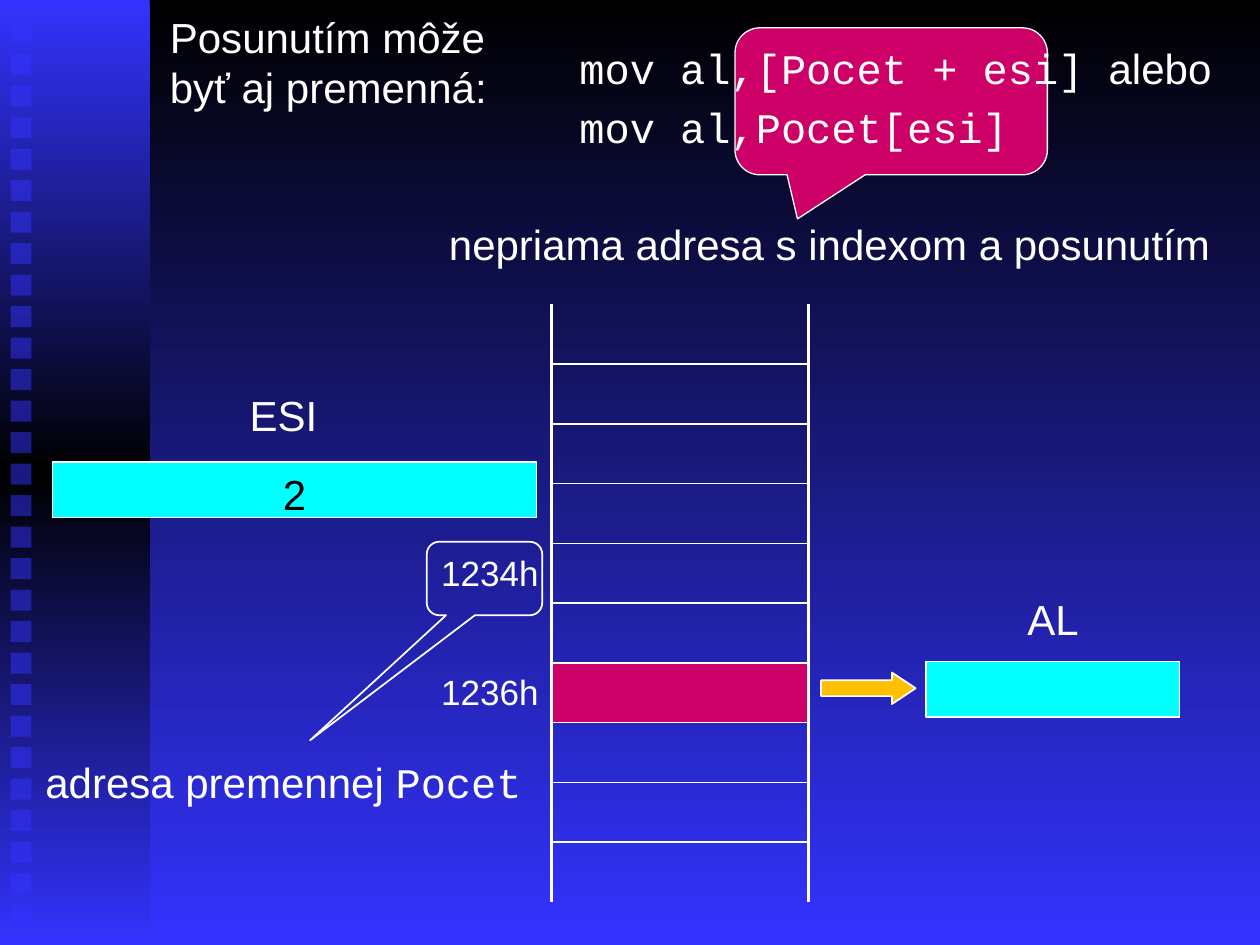
from copy import deepcopy

from lxml.etree import SubElement
from pptx import Presentation
from pptx.dml.color import RGBColor
from pptx.enum.shapes import MSO_SHAPE as Form
from pptx.enum.text import MSO_ANCHOR as Anchor, PP_ALIGN as Align
from pptx.oxml.ns import qn
from pptx.util import Inches, Pt

WHITE, BLACK, BLUE = "FFFFFF", "000000", "3333FF"
PINK, CYAN, GOLD = "CC0066", "00FFFF", "FFC000"
SANS, MONO = "Arial", "Courier New"


def hue(code):
    return RGBColor.from_string(code)


def write(frame, lines, size=24, tint=WHITE, align=Align.CENTER):
    """Fill a text frame; each line is a list of (text, font) runs."""
    for i, line in enumerate(lines):
        para = frame.add_paragraph() if i else frame.paragraphs[0]
        para.alignment = align
        if i:
            para.space_before = Pt(size * 0.2)
        for text, font in line:
            run = para.add_run()
            run.text = text
            look = {"name": font, "size": Pt(size)}
            for key, value in look.items():
                setattr(run.font, key, value)
            run.font.color.rgb = hue(tint)


prs = Presentation()
prs.slide_width, prs.slide_height = Inches(10), Inches(7.5)
slide = prs.slides.add_slide(prs.slide_layouts[6])
shapes = slide.shapes

# Grid of 120 columns by 90 rows
COL = prs.slide_width / 120
ROW = prs.slide_height / 90

# Background and side band, both shaded from top to bottom
band = shapes.add_shape(Form.RECTANGLE, 0, 0, int(14.25 * COL), int(90 * ROW))
band.shadow.inherit = False
band.line.fill.background()
shades = [
    (slide.background.fill, slide._element.cSld.find(qn("p:bg")), [BLACK, BLUE]),
    (band.fill, band._element, [BLUE, BLACK, BLUE]),
]
for fill, node, tints in shades:
    fill.gradient()
    fill.gradient_angle = 270
    if node is None:
        node = slide._element
    stops = next(node.iter(qn("a:gsLst")))
    while len(stops) < len(tints):
        stops.append(deepcopy(stops[0]))
    for i, (stop, tint) in enumerate(zip(fill.gradient_stops, tints)):
        stop.color.rgb = hue(tint)
        stop.position = i / (len(tints) - 1)

# Column of half-transparent squares on the band
for i in range(29):
    dot = shapes.add_shape(Form.RECTANGLE, int(COL), int((2.15 + 3 * i) * ROW),
                           int(2 * COL), int(2 * ROW))
    dot.shadow.inherit = False
    dot.line.fill.background()
    dot.fill.solid()
    dot.fill.fore_color.rgb = hue(BLUE)
    tone = next(dot._element.spPr.iter(qn("a:srgbClr")))
    SubElement(tone, qn("a:alpha"), val="50000")

# Memory: addresses on the left, cells on the right
COUNT, STEP = 10, 5.69
marks = {4: "1234h", 6: "1236h"}
table = shapes.add_table(COUNT, 2, int(24 * COL), int(29 * ROW),
                         int(53 * COL), int(COUNT * STEP * ROW)).table
table.first_row = table.horz_banding = False
table._tbl.tblPr.find(qn("a:tableStyleId")).text = "{2D5ABB26-0587-4C30-8999-92F81FD0307C}"
for part, width in zip(table.columns, (28.5, 24.5)):
    part.width = int(width * COL)
for r in range(COUNT):
    table.rows[r].height = int(STEP * ROW)
    name, slot = table.cell(r, 0), table.cell(r, 1)
    name.margin_top = Inches(0.09)
    if r in marks:
        write(name.text_frame, [[(marks[r], SANS)]], 20, align=Align.RIGHT)
    edges = {"L": 2.25, "R": 2.25, "T": 1 if r else 0, "B": 1 if r < COUNT - 1 else 0}
    for side, width in edges.items():
        if width:
            edge = SubElement(slot._tc.get_or_add_tcPr(), qn(f"a:ln{side}"), w=str(Pt(width)))
            SubElement(SubElement(edge, qn("a:solidFill")), qn("a:srgbClr"), val=WHITE)
    name.fill.background()
    if r == 6:
        slot.fill.solid()
        slot.fill.fore_color.rgb = hue(PINK)
    else:
        slot.fill.background()

# Callouts, registers and arrow: form, place, fill, line width, adjustments, text
BUBBLE = Form.ROUNDED_RECTANGULAR_CALLOUT
figures = [
    (BUBBLE, (70, 2.65, 29.75, 14), PINK, 0.75, (-0.3, 0.8, 0.17), ""),
    (Form.RECTANGLE, (88.2, 63, 24.15, 5.3), CYAN, 0.75, (), ""),
    (Form.RIGHT_ARROW, (78.2, 64.05, 9, 3), GOLD, 1, (0.5, 0.75), ""),
    (BUBBLE, (40.65, 51.6, 11, 7), None, 1, (-1.51, 2.2, 0.17), ""),
    (Form.RECTANGLE, (5, 44, 46.1, 5.3), CYAN, 0.75, (), "2"),
]
for form, (x, y, w, h), tint, width, bends, text in figures:
    item = shapes.add_shape(form, int(x * COL), int(y * ROW), int(w * COL), int(h * ROW))
    item.shadow.inherit = False
    for i, bend in enumerate(bends):
        item.adjustments[i] = bend
    if tint:
        item.fill.solid()
        item.fill.fore_color.rgb = hue(tint)
    else:
        item.fill.background()
    item.line.color.rgb = hue(WHITE)
    item.line.width = Pt(width)
    if text:
        item.text_frame.vertical_anchor = Anchor.TOP
        write(item.text_frame, [[(text, SANS)]], tint=BLACK)

# Captions: place, alignment, lines
captions = [
    ((40, 19.7, 78, 6.5), Align.CENTER, [[("nepriama adresa s indexom a posunutím", SANS)]]),
    ((54, 3, 63.6, 12.4), Align.LEFT, [[("mov al,[Pocet + esi] ", MONO), ("alebo", SANS)],
                                       [("mov al,Pocet[esi]", MONO)]]),
    ((15, 0, 39, 11.3), Align.LEFT, [[("Posunutím môže byť aj premenná:", SANS)]]),
    ((13, 36, 28, 6.6), Align.CENTER, [[("ESI", SANS)]]),
    ((86.3, 55.4, 28, 6.6), Align.CENTER, [[("AL", SANS)]]),
    ((3, 71, 48, 6.6), Align.CENTER, [[("adresa premennej ", SANS), ("Pocet", MONO)]]),
]
for (x, y, w, h), align, lines in captions:
    frame = shapes.add_textbox(int(x * COL), int(y * ROW), int(w * COL), int(h * ROW)).text_frame
    frame.word_wrap = True
    frame.margin_top = Inches(0.09)
    write(frame, lines, align=align)

prs.save("out.pptx")
